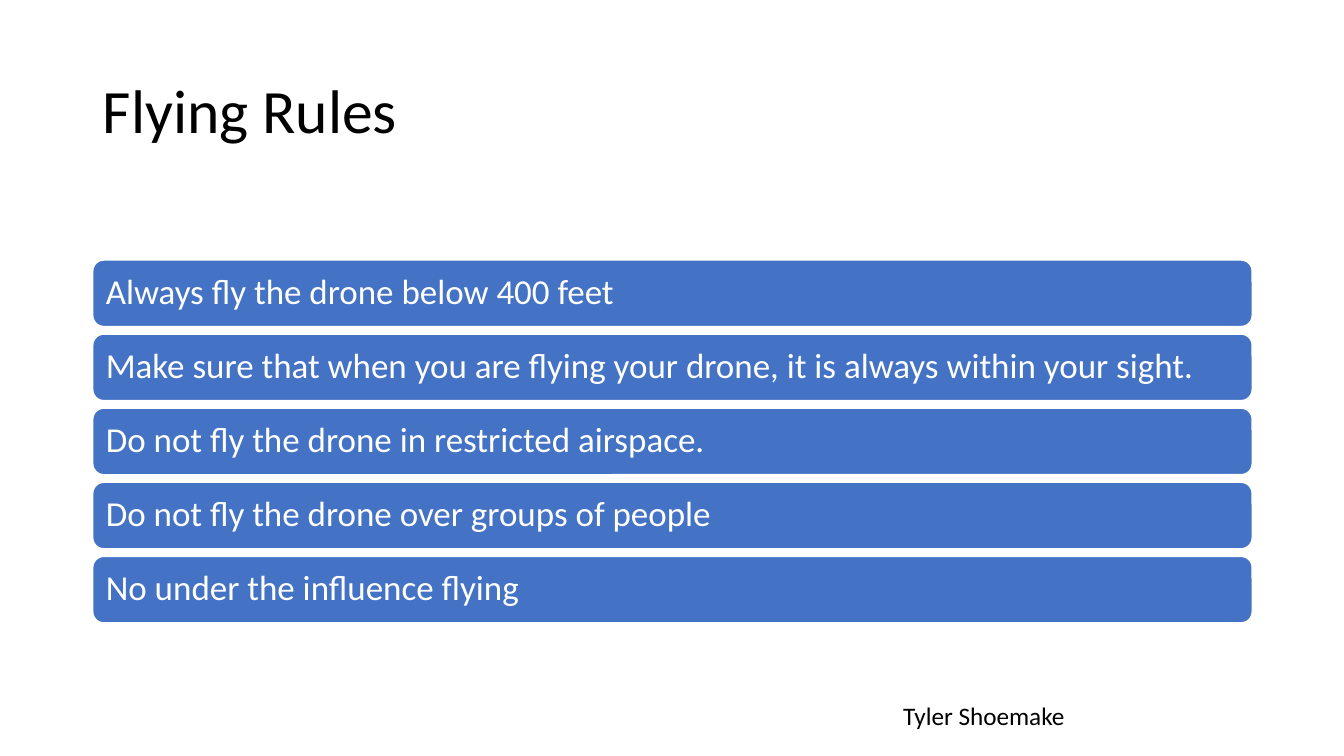
import pptx
import pptx.util
import pptx.dml.color
import pptx.enum.shapes
import pptx.enum.text
from pptx.util import Inches

TITLE = "Flying Rules"
RULES = [
    "Always fly the drone below 400 feet",
    "Make sure that when you are flying your drone, it is always within your sight.",
    "Do not fly the drone in restricted airspace.",
    "Do not fly the drone over groups of people",
    "No under the influence flying",
]
AUTHOR = "Tyler Shoemake"

FONT = "Calibri"
BLACK, WHITE, BLUE = "000000", "FFFFFF", "4472C4"
LEFT, WIDTH = 0.92, 11.5
BAR_TOP, BAR_HEIGHT, BAR_STEP = 2.58, 0.66, 0.735


def color(value):
    return pptx.dml.color.RGBColor.from_string(value)


def write_text(shape, text, size, fill=BLACK, spacing=1.0, wrap=True, inset=0.05,
               anchor=pptx.enum.text.MSO_ANCHOR.MIDDLE):
    frame = shape.text_frame
    frame.word_wrap = wrap
    frame.vertical_anchor = anchor
    frame.margin_left = frame.margin_right = Inches(0.1)
    frame.margin_top = frame.margin_bottom = Inches(inset)
    paragraph = frame.paragraphs[0]
    paragraph.alignment = pptx.enum.text.PP_ALIGN.LEFT
    paragraph.line_spacing = spacing
    run = paragraph.add_run()
    run.text = text
    run.font.name = FONT
    run.font.size = pptx.util.Pt(size)
    run.font.color.rgb = color(fill)


def add_rule(slide, index, text):
    shape = slide.shapes.add_shape(
        pptx.enum.shapes.MSO_SHAPE.ROUNDED_RECTANGLE,
        Inches(LEFT), Inches(BAR_TOP + index * BAR_STEP),
        Inches(WIDTH), Inches(BAR_HEIGHT))
    shape.shadow.inherit = False
    shape.fill.solid()
    shape.fill.fore_color.rgb = color(BLUE)
    shape.line.color.rgb = color(WHITE)
    shape.line.width = pptx.util.Pt(1)
    write_text(shape, text, 25, fill=WHITE, spacing=0.9, inset=0.1)


def main():
    presentation = pptx.Presentation()
    presentation.slide_width = Inches(13.33)
    presentation.slide_height = Inches(7.5)
    slide = presentation.slides.add_slide(presentation.slide_layouts[5])

    title = slide.shapes.title
    title.left, title.top = Inches(LEFT), Inches(0.4)
    title.width, title.height = Inches(WIDTH), Inches(1.45)
    write_text(title, TITLE, 44, spacing=0.9)

    for index, rule in enumerate(RULES):
        add_rule(slide, index, rule)

    author = slide.shapes.add_textbox(
        Inches(8.86), Inches(6.9), Inches(1.82), Inches(0.4))
    write_text(author, AUTHOR, 18, wrap=False,
               anchor=pptx.enum.text.MSO_ANCHOR.TOP)
    author.text_frame.auto_size = pptx.enum.text.MSO_AUTO_SIZE.SHAPE_TO_FIT_TEXT

    presentation.save("out.pptx")


if __name__ == "__main__":
    main()
